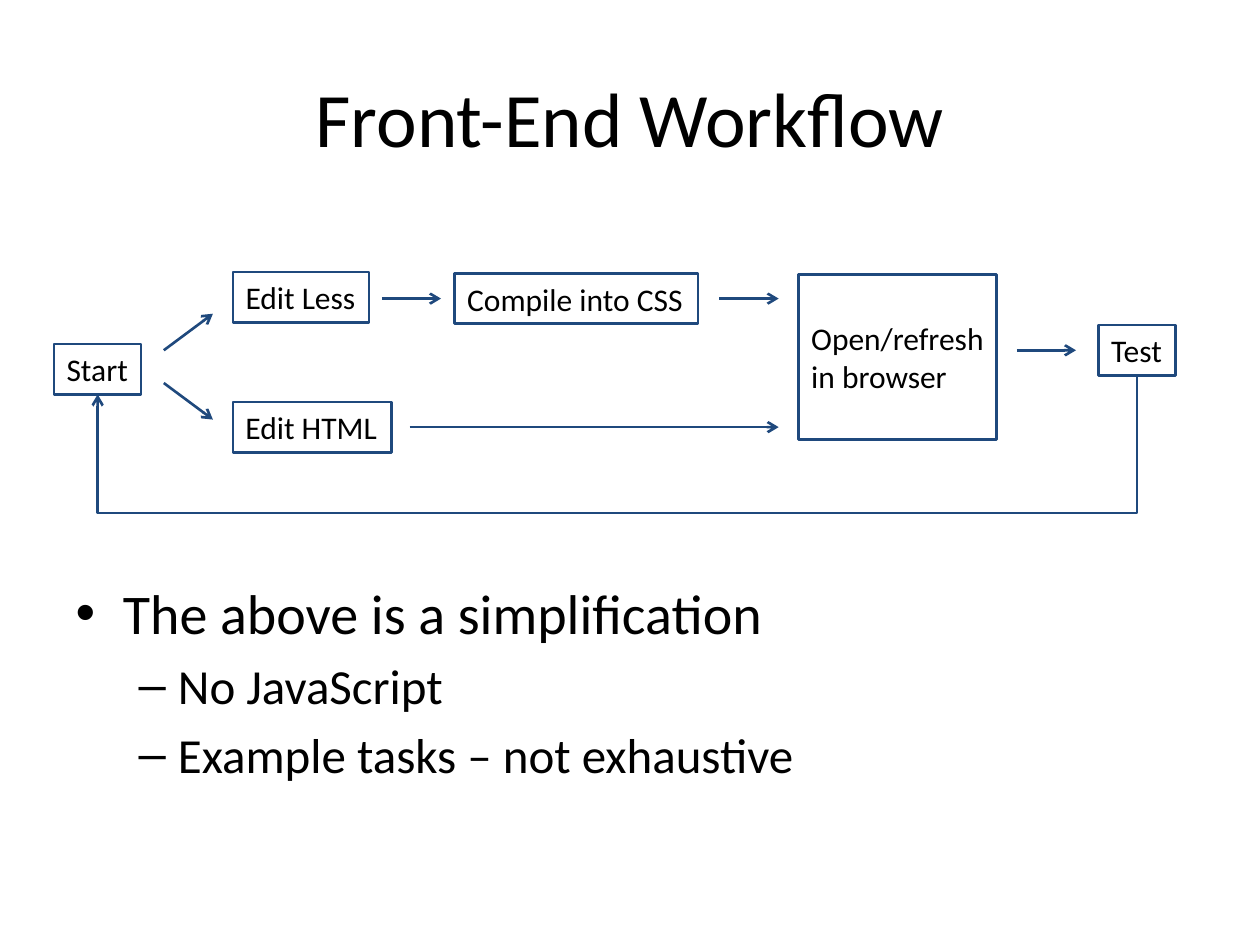
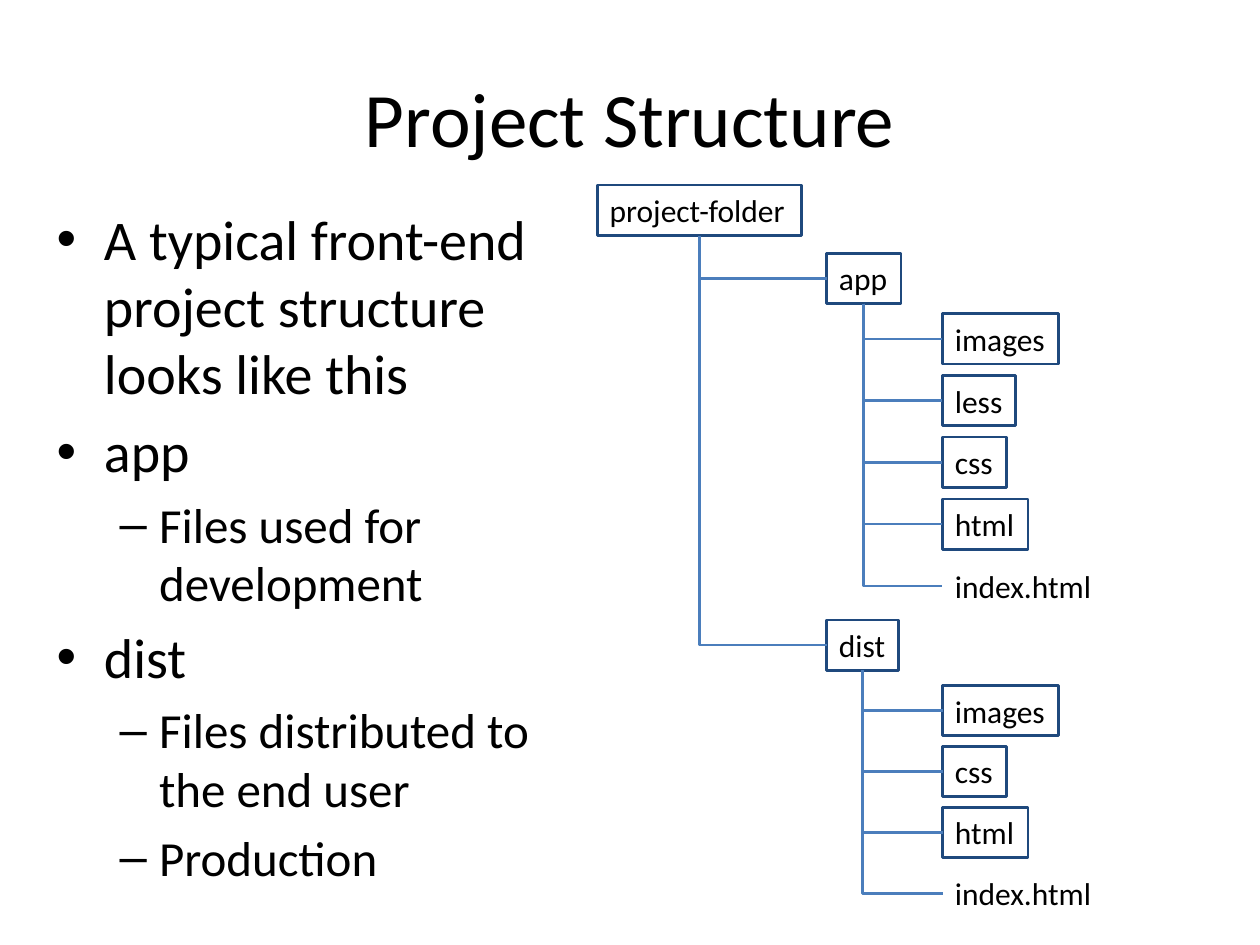
import pptx
import pptx.dml.color
import pptx.enum.dml
import pptx.enum.shapes
import pptx.enum.text
import pptx.oxml
import pptx.oxml.ns
import pptx.util
import lxml.etree

Inches = pptx.util.Inches
Pt = pptx.util.Pt
Connector = pptx.enum.shapes.MSO_CONNECTOR
Anchor = pptx.enum.text.MSO_ANCHOR
Align = pptx.enum.text.PP_ALIGN
AutoSize = pptx.enum.text.MSO_AUTO_SIZE
qn = pptx.oxml.ns.qn

COLORS = {"text": "000000", "outline": "1F497D", "branch": "4B7EBC"}
TITLE_FONT = {"name": "Calibri", "size": Pt(44)}
BODY_FONTS = [{"name": "Calibri", "size": Pt(32)}, {"name": "Calibri", "size": Pt(28)}]
LABEL_FONT = {"name": "Calibri", "size": Pt(18)}
LABEL_FRAME = {"word_wrap": False, "auto_size": AutoSize.SHAPE_TO_FIT_TEXT,
               "vertical_anchor": Anchor.TOP}
BLOCK_FRAME = {"word_wrap": True, "auto_size": AutoSize.NONE,
               "vertical_anchor": Anchor.MIDDLE}
LABEL_HEIGHT = 0.4
TOP, LEFT, BOTTOM = 0, 1, 2


def apply(target, values):
    for name, value in values.items():
        setattr(target, name, value)


def place(shape, box):
    apply(shape, dict(zip(("left", "top", "width", "height"), map(Inches, box))))


def rgb(name):
    return pptx.dml.color.RGBColor.from_string(COLORS[name])


def write(para, text, font):
    span = para.add_run()
    span.text = text
    apply(span.font, font)
    span.font.color.rgb = rgb("text")


def add_page(deck, title, bullets, body_box):
    page = deck.slides.add_slide(deck.slide_layouts[1])
    heading, body = page.placeholders
    place(heading, (0.5, 0.3, 9, 1.25))
    write(heading.text_frame.paragraphs[0], title, TITLE_FONT)
    place(body, body_box)
    frame = body.text_frame
    frame.auto_size = AutoSize.NONE
    for index, (level, text) in enumerate(bullets):
        para = frame.add_paragraph() if index else frame.paragraphs[0]
        para.level = level
        write(para, text, BODY_FONTS[level])
    return page


def add_label(page, text, box, frame_format=LABEL_FRAME, outlined=True):
    bounds = [Inches(length) for length in box]
    if outlined:
        shape = page.shapes.add_shape(pptx.enum.shapes.MSO_SHAPE.RECTANGLE, *bounds)
        shape.shadow.inherit = False
        shape.fill.background()
        shape.line.color.rgb = rgb("outline")
        shape.line.width = Pt(1.5)
    else:
        shape = page.shapes.add_textbox(*bounds)
    frame = shape.text_frame
    apply(frame, frame_format)
    para = frame.paragraphs[0]
    para.alignment = Align.LEFT
    write(para, text, LABEL_FONT)
    return shape


def finish_line(line, color, arrow):
    line.line.color.rgb = rgb(color)
    line.line.width = Pt(1.5)
    if arrow:
        lxml.etree.SubElement(line.line._get_or_add_ln(), qn("a:tailEnd"), type="arrow")
    lxml.etree.SubElement(line._element.spPr, qn("a:effectLst"))


def add_arrow(page, start, end):
    line = page.shapes.add_connector(Connector.STRAIGHT, *map(Inches, start + end))
    finish_line(line, "outline", True)


def add_elbow(page, start, end, end_site, color, preset, turn, flip, bend=None, arrow=False):
    line = page.shapes.add_connector(Connector.ELBOW, 0, 0, 0, 0)
    line.begin_connect(start, BOTTOM)
    line.end_connect(end, end_site)
    left, top, width, height = line.left, line.top, line.width, line.height
    apply(line, {"left": left + (width - height) // 2, "top": top + (height - width) // 2,
                 "width": height, "height": width})
    properties = line._element.spPr
    frame = properties.find(qn("a:xfrm"))
    for name, value in {"rot": str(turn * 60000), "flipH": flip, "flipV": "0"}.items():
        frame.set(name, value)
    geometry = properties.find(qn("a:prstGeom"))
    geometry.set("prst", preset)
    if bend:
        guides = geometry.find(qn("a:avLst"))
        lxml.etree.SubElement(guides, qn("a:gd"), name="adj1", fmla=f"val {bend}")
    finish_line(line, color, arrow)


def add_workflow(page, left, top):
    steps = {
        "Start": (0, 0.57, 0.69),
        "Edit HTML": (1.42, 1.03, 1.26),
        "Edit Less": (1.42, 0, 1.08),
        "Compile into CSS": (3.18, 0.01, 1.93),
        "Test": (8.29, 0.42, 0.61),
    }
    boxes = {text: add_label(page, text, (left + x, top + y, width, LABEL_HEIGHT))
             for text, (x, y, width) in steps.items()}
    add_label(page, "Open/refresh in browser", (left + 5.91, top + 0.02, 1.57, 1.31), BLOCK_FRAME)
    arrows = [
        (0.87, 0.62, 1.26, 0.33),
        (0.87, 0.88, 1.26, 1.17),
        (2.6, 0.21, 3.07, 0.21),
        (2.82, 1.23, 5.75, 1.23),
        (7.64, 0.62, 8.11, 0.62),
        (5.28, 0.21, 5.75, 0.21),
    ]
    for x1, y1, x2, y2 in arrows:
        add_arrow(page, (left + x1, top + y1), (left + x2, top + y2))
    add_elbow(page, boxes["Test"], boxes["Start"], BOTTOM, "outline",
              "bentConnector3", 90, "0", bend=727600, arrow=True)


def add_branch(page, parent, child):
    add_elbow(page, parent, child, LEFT, "branch", "bentConnector2", 270, "1")


def add_folder_tree(page, left, top):
    widths = {"images": 0.92, "less": 0.58, "css": 0.51, "html": 0.68, "index.html": 1.3}
    folders = [
        ("app", 0.54, 0.59, 1.02, 2.98, ["images", "less", "css", "html", "index.html"]),
        ("dist", 3.45, 0.57, 3.97, 5.42, ["images", "css", "html", "index.html"]),
    ]
    root = add_label(page, "project-folder", (left, top, 1.62, LABEL_HEIGHT))
    for name, y, width, first, last, children in folders:
        folder = add_label(page, name, (left + 1.82, top + y, width, LABEL_HEIGHT))
        add_branch(page, root, folder)
        pitch = (last - first) / (len(children) - 1)
        for row, child in enumerate(children):
            box = (left + 2.74, top + first + row * pitch, widths[child], LABEL_HEIGHT)
            label = add_label(page, child, box, outlined="." not in child)
            add_branch(page, folder, label)


deck = pptx.Presentation()
apply(deck, {"slide_width": Inches(10), "slide_height": Inches(7.5)})

workflow = add_page(deck, "Front-End Workflow", [
    (0, "The above is a simplification"),
    (1, "No JavaScript"),
    (1, "Example tasks – not exhaustive"),
], (0.5, 4.54, 9, 1.69))
add_workflow(workflow, 0.43, 2.16)

structure = add_page(deck, "Project Structure", [
    (0, "A typical front-end project structure looks like this"),
    (0, "app"),
    (1, "Files used for development"),
    (0, "dist"),
    (1, "Files distributed to the end user"),
    (1, "Production"),
], (0.35, 1.57, 4.17, 5.32))
add_folder_tree(structure, 4.74, 1.47)

deck.save("out.pptx")
